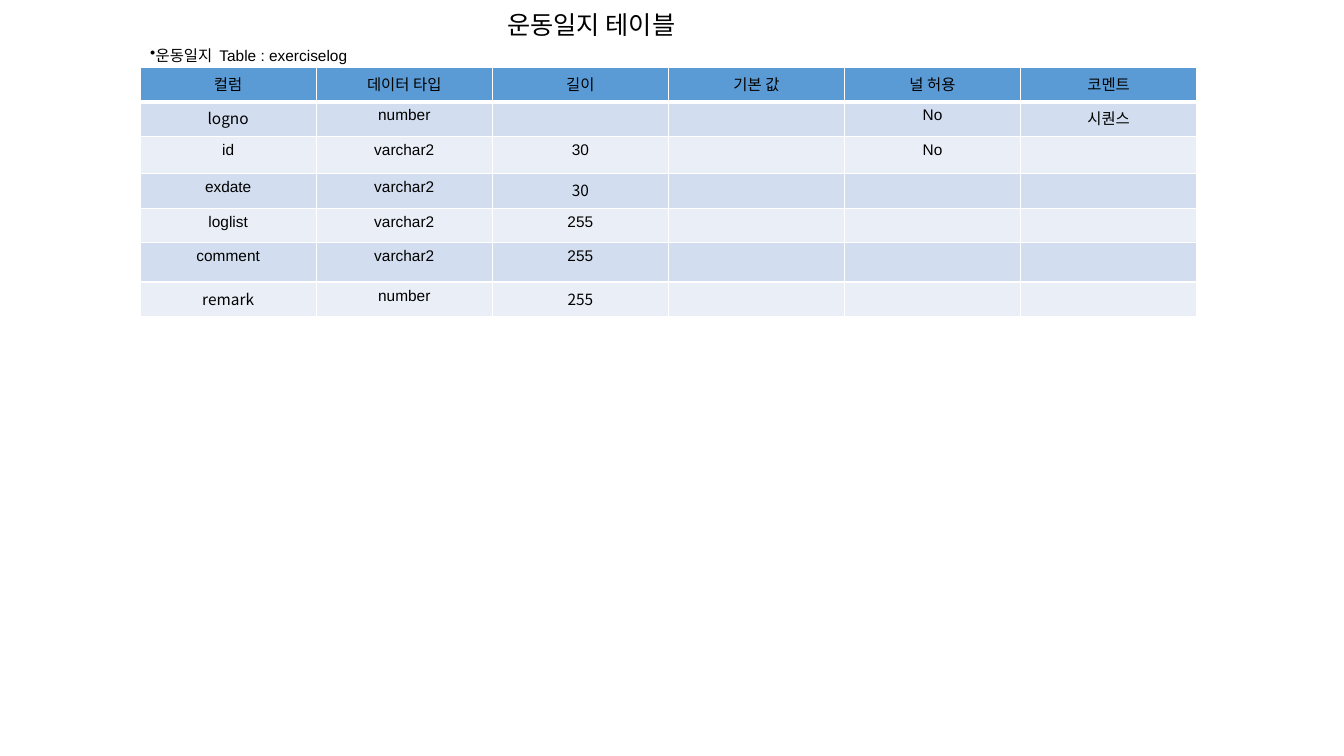
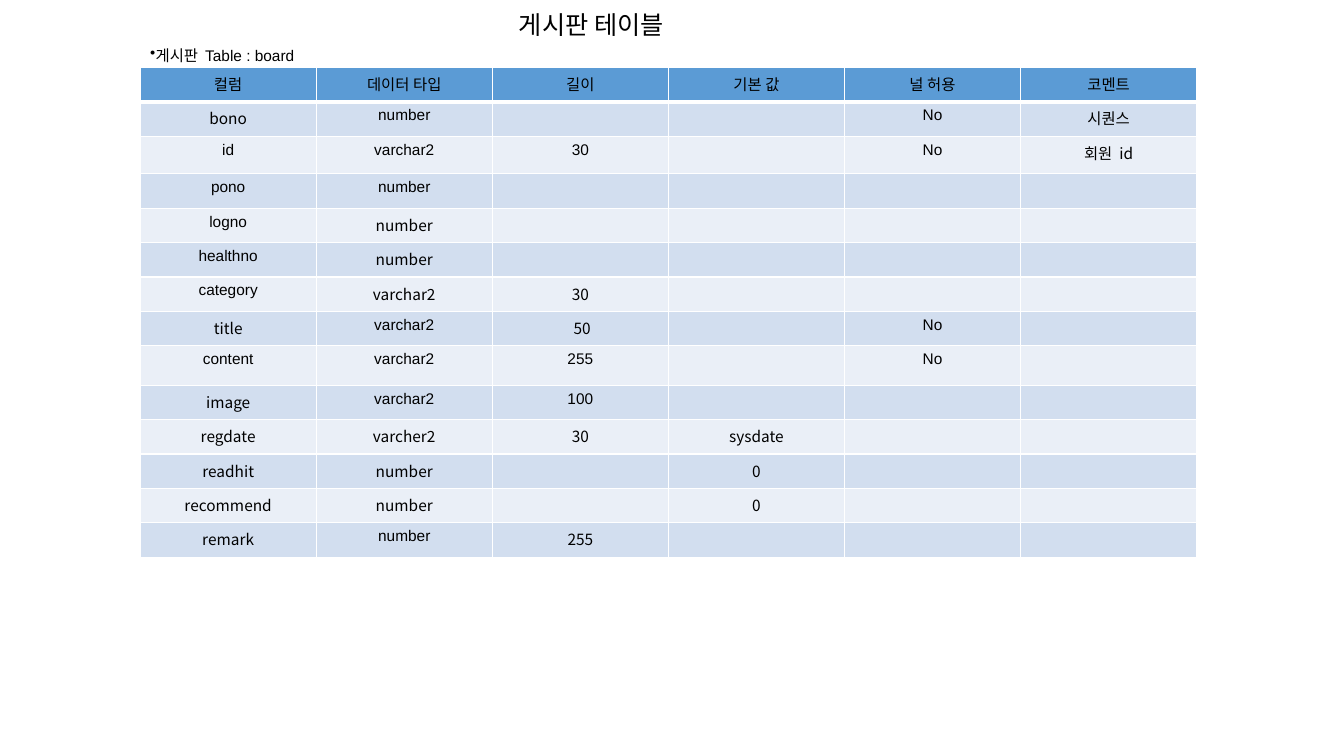
from lxml.etree import SubElement
from pptx import Presentation
from pptx.dml.color import RGBColor
from pptx.enum.text import MSO_ANCHOR, PP_ALIGN
from pptx.oxml.ns import qn
from pptx.util import Inches, Pt

WIDE, HIGH = 13.33, 7.5
HUES = {"head": "5B9BD5", "odd": "D2DEEF", "even": "EAEFF7",
        "ink": "000000", "line": "FFFFFF"}
SANS, HANGUL = "Arial", "Noto Sans CJK KR"
MARK = "~"  # a cell text that starts with this is set in HANGUL

# Boxes: left, top, width, height
TITLE = (2.53, 0.04, 6.67, 1.01)
LABEL = (1.39, 0.25, 7.62, 0.59)
GRID = (1.39, 0.67, 10.48)
ROW = 2.39 / 7
EXTRA = {"id": 0.03, "comment": 0.05, "content": 0.05}
HEADS = "컬럼|데이터 타입|길이|기본 값|널 허용|코멘트"

LOG = """~logno|number|||No|시퀀스
id|varchar2|30||No|
exdate|varchar2|~30|||
loglist|varchar2|255|||
comment|varchar2|255|||
~remark|number|~255|||"""

BOARD = """~bono|number|||No|시퀀스
id|varchar2|30||No|~회원\u00a0 id
pono|number||||
logno|~number||||
healthno|~number||||
category|~varchar2|~30|||
~title|varchar2|~\u00a050||No|
content|varchar2|255||No|
~image|varchar2|100|||
~regdate|~varcher2|~30|~sysdate||
~readhit|~number||~0||
~recommend|~number||~0||
~remark|number|~255|||"""


def write(para, text, size, face=SANS, align=PP_ALIGN.CENTER):
    """Fill a paragraph and set its font for Latin and Korean letters."""
    para.alignment = align
    font = para.font
    font.size, font.name = Pt(size), face
    font.color.rgb = RGBColor.from_string(HUES["ink"])
    props = para._p.get_or_add_pPr().find(qn("a:defRPr"))
    SubElement(props, qn("a:ea"), typeface=HANGUL)
    if text:
        para.add_run().text = text
    else:
        SubElement(para._p, qn("a:endParaRPr"), sz=str(size * 100))


def add_text(slide, box):
    """Add a wrapping text box and return its frame."""
    frame = slide.shapes.add_textbox(*map(Inches, box)).text_frame
    frame.word_wrap = True
    return frame


def add_title(slide, box, text):
    """Place the centred slide title."""
    write(add_text(slide, box).paragraphs[0], text, 18)


def add_label(slide, box, text):
    """Place the bulleted line that names the table."""
    frame = add_text(slide, box)
    frame.vertical_anchor = MSO_ANCHOR.MIDDLE
    frame.margin_top = frame.margin_bottom = 0
    para = frame.paragraphs[0]
    write(para, text, 11, align=PP_ALIGN.LEFT)
    props = para._p.get_or_add_pPr()
    props.set("marL", "0")
    props.set("indent", "0")
    bullet = props.makeelement(qn("a:buChar"), {"char": "•"})
    props.find(qn("a:defRPr")).addprevious(bullet)


def add_edges(cell, top, bottom):
    """Draw the white cell borders, in points, ahead of the fill."""
    props = cell._tc.get_or_add_tcPr()
    for side, width in zip("LRTB", (1, 1, top, bottom)):
        line = SubElement(props, qn(f"a:ln{side}"), w=str(Pt(width)))
        fill = SubElement(line, qn("a:solidFill"))
        SubElement(fill, qn("a:srgbClr"), val=HUES["line"])


def add_cell(cell, text, row):
    """Style one cell by its row: head, then two hues in turn."""
    add_edges(cell, 3 if row == 1 else 1, 3 if row == 0 else 1)
    hue = "head" if row == 0 else "odd" if row % 2 else "even"
    cell.fill.solid()
    cell.fill.fore_color.rgb = RGBColor.from_string(HUES[hue])
    face = HANGUL if text.startswith(MARK) else SANS
    write(cell.text_frame.paragraphs[0], text.removeprefix(MARK), 11, face)


def add_grid(slide, box, data):
    """Place the column table with equal columns."""
    rows = [line.split("|") for line in [HEADS, *data.splitlines()]]
    highs = [ROW + EXTRA.get(row[0], 0) for row in rows]
    size = (*box, sum(highs))
    table = slide.shapes.add_table(
        len(rows), len(rows[0]), *map(Inches, size)).table
    table.first_row = table.horz_banding = False
    for col in table.columns:
        col.width = Inches(box[2] / len(rows[0]))
    for r, row in enumerate(rows):
        table.rows[r].height = Inches(highs[r])
        for c, text in enumerate(row):
            add_cell(table.cell(r, c), text, r)


def add_slide(deck, topic, name, data):
    """Build one slide that describes one database table."""
    slide = deck.slides.add_slide(deck.slide_layouts[6])
    add_label(slide, LABEL, f"{topic}\u00a0 Table : {name}")
    add_title(slide, TITLE, f"{topic} 테이블")
    add_grid(slide, GRID, data)


deck = Presentation()
deck.slide_width, deck.slide_height = Inches(WIDE), Inches(HIGH)
add_slide(deck, "운동일지", "exerciselog", LOG)
add_slide(deck, "게시판", "board", BOARD)
deck.save("out.pptx")
